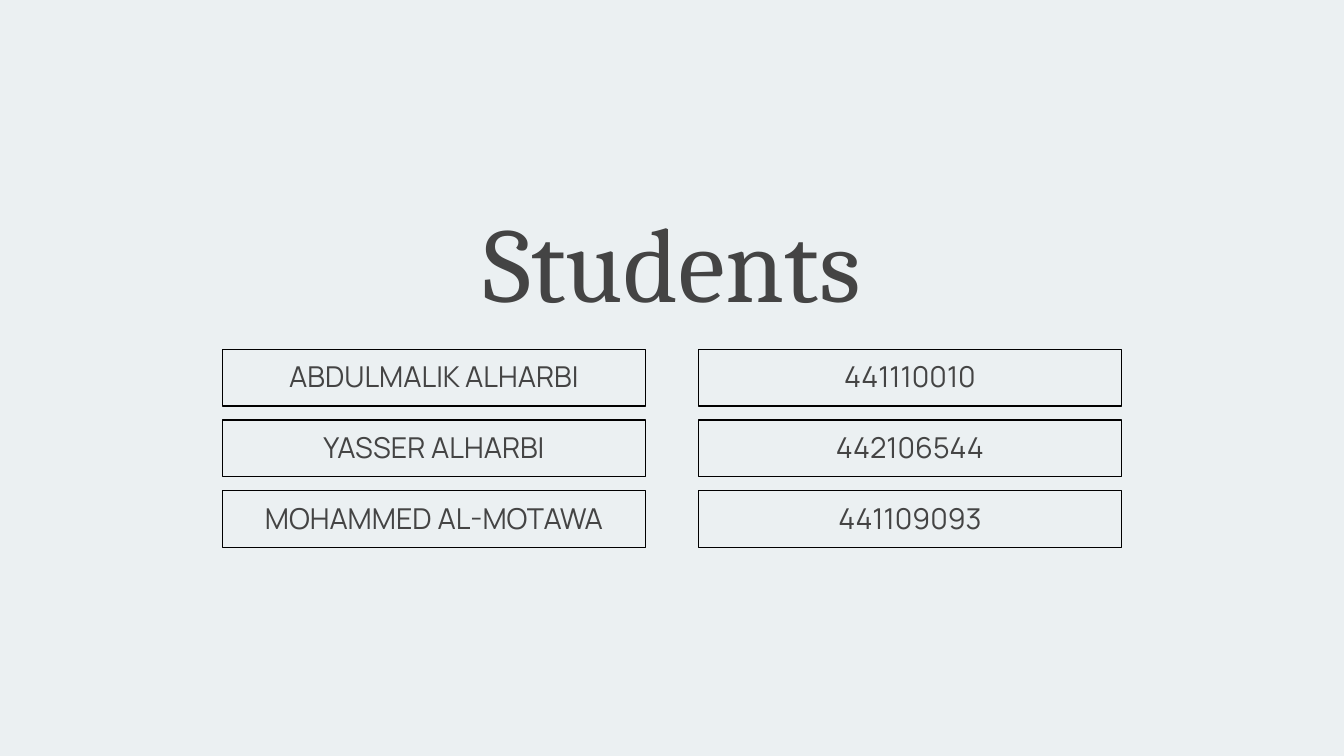
"""Build a slide that lists students and their numbers."""
from dataclasses import dataclass

from pptx import Presentation
from pptx.dml.color import RGBColor
from pptx.enum.shapes import MSO_SHAPE
from pptx.enum.text import MSO_ANCHOR, MSO_AUTO_SIZE, PP_ALIGN
from pptx.util import Pt

RECTANGLE = MSO_SHAPE.RECTANGLE
TOP = MSO_ANCHOR.TOP
CENTER = PP_ALIGN.CENTER
NO_AUTOFIT = MSO_AUTO_SIZE.NONE

PX = 9525
SLIDE_WIDTH, SLIDE_HEIGHT = 1920, 1080
TITLE_ONLY = 5

STUDENTS = [
    ("ABDULMALIK ALHARBI", "441110010"),
    ("YASSER ALHARBI", "442106544"),
    ("MOHAMMED AL-MOTAWA", "441109093"),
]
CELL_WIDTH, CELL_HEIGHT = 604, 81
COLUMN_GAP, ROW_GAP = 76, 20
GRID_LEFT = (SLIDE_WIDTH - 2 * CELL_WIDTH - COLUMN_GAP) // 2
GRID_TOP = 499


@dataclass(frozen=True)
class Theme:
    background: RGBColor = RGBColor.from_string("EBF0F2")
    ink: RGBColor = RGBColor.from_string("444444")
    outline: RGBColor = RGBColor.from_string("000000")
    outline_width: float = 1.5
    title_font: str = "Cambria"
    title_size: float = 113.5
    title_spacing: float = 158.9
    body_font: str = "Manrope"
    body_size: float = 30.8
    body_spacing: float = 43.1


class SlideBuilder:
    def __init__(self, page, theme):
        self.page = page
        self.theme = theme
        fill = page.background.fill
        fill.solid()
        fill.fore_color.rgb = theme.background

    def set_text(self, shape, text, font, size, spacing, inset_x=0, inset_y=0):
        frame = shape.text_frame
        frame.text = text
        frame.word_wrap = True
        frame.auto_size = NO_AUTOFIT
        frame.vertical_anchor = TOP
        frame.margin_left = frame.margin_right = inset_x * PX
        frame.margin_top = frame.margin_bottom = inset_y * PX
        para = frame.paragraphs[0]
        para.alignment = CENTER
        para.line_spacing = Pt(spacing)
        para.space_before = Pt(0)
        for span in para.runs:
            span.font.name = font
            span.font.size = Pt(size)
            span.font.color.rgb = self.theme.ink

    def title(self, text, left, top, width, height):
        theme = self.theme
        box = self.page.shapes.title
        box.left, box.top = left * PX, top * PX
        box.width, box.height = width * PX, height * PX
        self.set_text(box, text, theme.title_font, theme.title_size, theme.title_spacing)

    def cell(self, text, left, top):
        theme = self.theme
        box = self.page.shapes.add_shape(
            RECTANGLE, left * PX, top * PX, CELL_WIDTH * PX, CELL_HEIGHT * PX
        )
        box.shadow.inherit = False
        box.fill.background()
        box.line.color.rgb = theme.outline
        box.line.width = Pt(theme.outline_width)
        self.set_text(box, text, theme.body_font, theme.body_size, theme.body_spacing, 36, 6)


def main():
    deck = Presentation()
    deck.slide_width = SLIDE_WIDTH * PX
    deck.slide_height = SLIDE_HEIGHT * PX
    page = deck.slides.add_slide(deck.slide_layouts[TITLE_ONLY])
    builder = SlideBuilder(page, Theme())
    builder.title("Students", 512, 250, 896, 203)
    for row, student in enumerate(STUDENTS):
        for column, text in enumerate(student):
            left = GRID_LEFT + column * (CELL_WIDTH + COLUMN_GAP)
            top = GRID_TOP + row * (CELL_HEIGHT + ROW_GAP)
            builder.cell(text, left, top)
    deck.save("out.pptx")


if __name__ == "__main__":
    main()
